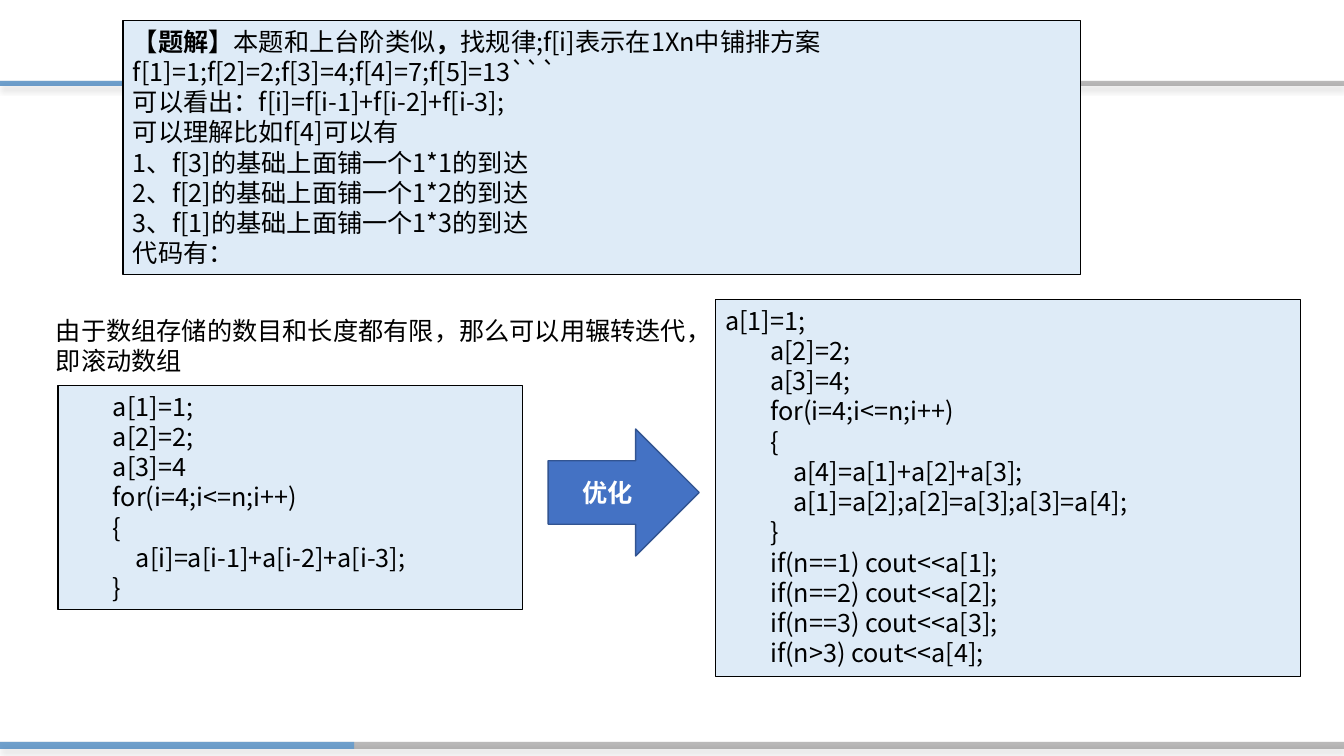
"""Build the slide that explains the tiling recurrence and its rolling-array form."""
from lxml import etree
from pptx import Presentation
from pptx import util as u
from pptx.dml.color import RGBColor
from pptx.enum import shapes, text
from pptx.oxml import ns

FONT = "Noto Sans CJK SC"
A = ns.nsdecls("a")
SHADOW = (f'<a:effectLst {A}><a:outerShdw blurRad="50800" dist="38100" dir="5400000">'
          '<a:srgbClr val="000000"><a:alpha val="40000"/></a:srgbClr></a:outerShdw></a:effectLst>')

deck = Presentation()
deck.slide_width, deck.slide_height = u.Inches(13.33), u.Inches(7.5)
slide = deck.slides.add_slide(deck.slide_layouts[6])


def px(n):
    return round(n * 914400 / 100.8)


def paint(run, color, bold=False, font=FONT):
    run.font.size = u.Pt(18)
    run.font.bold = bold
    run.font.name = font
    run.font.color.rgb = RGBColor.from_string(color)
    east = etree.SubElement(run.font._element, ns.qn("a:ea"))
    east.set("typeface", FONT)


for top, high in [(81, 5), (742, 7)]:
    for wide, color, alpha in [(1344, "3B3838", 34), (354, "2185DF", 49)]:
        bar = slide.shapes.add_shape(shapes.MSO_SHAPE.RECTANGLE, 0, px(top), px(wide), px(high))
        bar.shadow.inherit = False
        bar.fill.solid()
        bar.fill.fore_color.rgb = RGBColor.from_string(color)
        bar.line.fill.background()
        tone = bar.fill._xPr.find(".//" + ns.qn("a:srgbClr"))
        etree.SubElement(tone, ns.qn("a:alpha")).set("val", str(alpha * 1000))
        if wide == 1344:
            old = bar._element.spPr.find(ns.qn("a:effectLst"))
            bar._element.spPr.replace(old, etree.fromstring(SHADOW))

intro = [
    (0, "【题解】|本题和上台阶类似|，|找规律;f[i]表示在1Xn中铺排方案"),
    (0, "f[1]=1;f[2]=2;f[3]=4;f[4]=7;f[5]=13```"),
    (0, "可以看出：f[i]=f[i-1]+f[i-2]+f[i-3];"),
    (0, "可以理解比如f[4]可以有"),
    *[(0, f"{n}、f[{4 - n}]的基础上面铺一个1*{n}的到达") for n in (1, 2, 3)],
    (0, "代码有："),
]
plain = [
    (45, "a[1]=1;"),
    (45, "a[2]=2;"),
    (45, "a[3]=4"),
    (45, "for(i=4;i<=n;i++)"),
    (45, "{"),
    (68, "a[i]=a[i-1]+a[i-2]+a[i-3];"),
    (45, "}"),
]
rolling = [
    (0, "a[1]=1;"),
    (45, "a[2]=2;"),
    (45, "a[3]=4;"),
    (45, "for(i=4;i<=n;i++)"),
    (45, "{"),
    (68, "a[4]=a[1]+a[2]+a[3];"),
    (68, "a[1]=a[2];a[2]=a[3];a[3]=a[4];"),
    (45, "}"),
    *[(45, f"if(n=={n}) cout<<a[{n}];") for n in (1, 2, 3)],
    (45, "if(n>3) cout<<a[4];"),
]
note = [(0, "由于数组存储的数目和长度都有限，那么可以用辗转迭代，"), (0, "即滚动数组")]

for left, top, wide, high, lines in [
    (123, 21, 957, 254, intro),
    (58, 386, 464, 224, plain),
    (715, 300, 585, 377, rolling),
    (46, 310, 672, 72, note),
]:
    spot = px(left), px(top), px(wide), px(high)
    if lines is note:
        box = slide.shapes.add_textbox(*spot)
    else:
        box = slide.shapes.add_shape(shapes.MSO_SHAPE.RECTANGLE, *spot)
        box.shadow.inherit = False
        box.fill.solid()
        box.fill.fore_color.rgb = RGBColor.from_string("DEEBF7")
        box.line.color.rgb = RGBColor.from_string("000000")
        box.line.width = u.Pt(0.75)
    frame = box.text_frame
    frame.word_wrap = True
    frame.vertical_anchor = text.MSO_ANCHOR.TOP
    for row, (indent, line) in enumerate(lines):
        para = frame.paragraphs[0] if row == 0 else frame.add_paragraph()
        para.alignment = text.PP_ALIGN.LEFT
        para.line_spacing = u.Pt(21.6)
        para._p.get_or_add_pPr().set("marL", str(px(indent)))
        parts = line.split("|")
        for k, part in enumerate(parts):
            run = para.add_run()
            run.text = part
            mixed = k < len(parts) - 1
            paint(run, "000000", mixed and k % 2 == 0, "Arial" if mixed else FONT)

arrow = slide.shapes.add_shape(shapes.MSO_SHAPE.RIGHT_ARROW, px(548), px(429), px(151), px(127))
arrow.shadow.inherit = False
arrow.fill.solid()
arrow.fill.fore_color.rgb = RGBColor.from_string("4472C4")
arrow.line.color.rgb = RGBColor.from_string("325491")
arrow.line.width = u.Pt(1)
arrow.text_frame.text = "优化"
arrow.text_frame.vertical_anchor = text.MSO_ANCHOR.MIDDLE
label = arrow.text_frame.paragraphs[0]
label.alignment = text.PP_ALIGN.CENTER
paint(label.runs[0], "FFFFFF", True)

deck.save("out.pptx")
